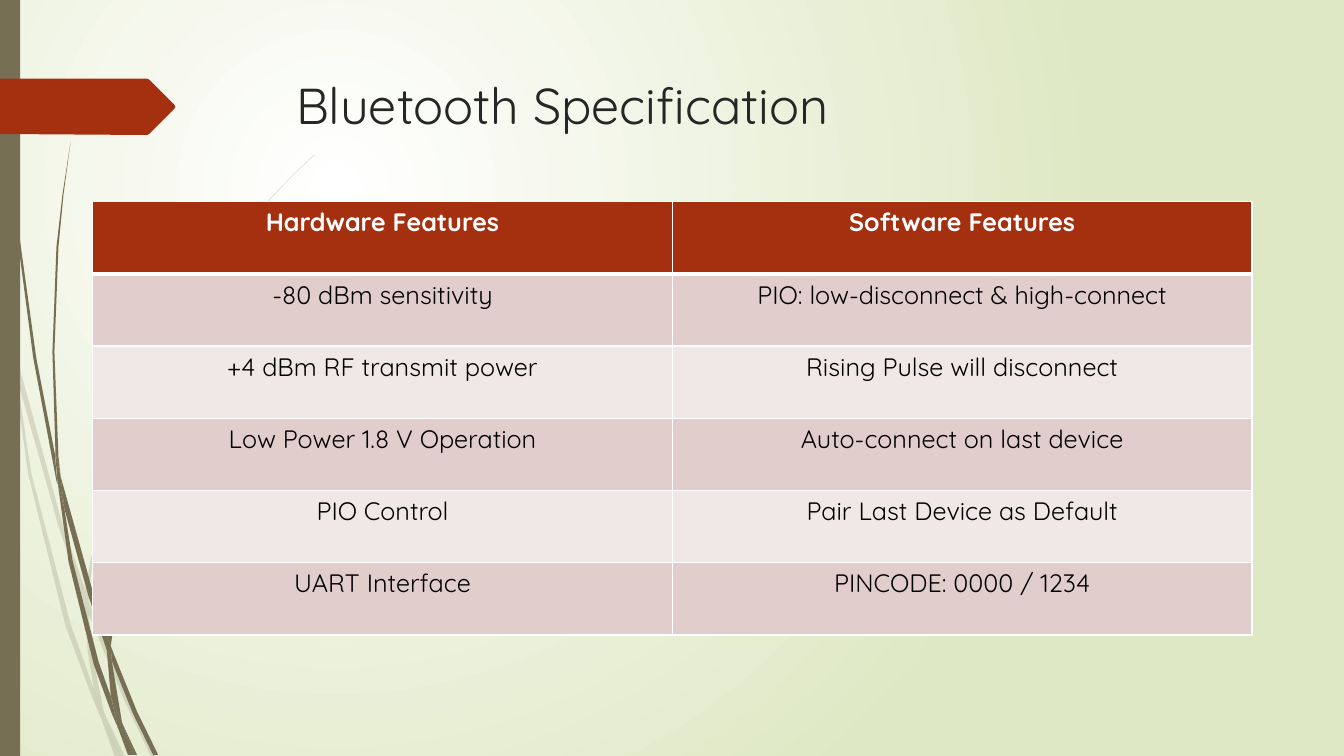
from lxml.etree import SubElement
from pptx import Presentation
from pptx.dml.color import RGBColor
from pptx.enum.shapes import MSO_SHAPE as SHAPE
from pptx.enum.text import MSO_ANCHOR as ANCHOR, PP_ALIGN as ALIGN
from pptx.oxml.ns import qn
from pptx.util import Pt

FONT = "Quicksand"
OLIVE, RUST, WHITE = "766F54", "A53010", "FFFFFF"
BANDS = ("F0E8E7", "E1CDCC")
UNIT = Pt(0.72)  # outline coordinates are multiples of this step

# Outlines of the grass blades, x and y in UNIT steps
PALE_BLADES = [
    [(11, 350), (9, 322), (0, 282), (0, 299), (10, 344)],
    [(58, 522), (84, 599), (85, 586), (62, 520), (14, 345), (17, 376)],
    [(92, 607), (88, 596), (88, 610), (123, 694), (150, 751), (155, 751),
     (127, 692)],
    [(119, 751), (124, 751), (105, 711)],
    [(93, 683), (70, 619), (31, 469), (17, 376), (11, 350), (28, 470),
     (65, 621), (92, 693), (101, 714), (99, 707)],
    [(84, 599), (87, 646), (93, 683), (96, 692), (105, 711), (103, 706),
     (91, 646), (88, 610), (88, 608)],
    [(88, 584), (110, 462), (160, 349), (229, 245), (268, 198), (290, 175),
     (312, 154), (312, 153), (289, 175), (268, 197), (228, 244), (158, 348),
     (107, 461), (85, 584), (85, 586), (88, 596)],
    [(101, 714), (114, 751), (119, 751)],
    [(88, 608), (88, 610), (88, 596), (85, 586), (84, 599)],
    [(96, 692), (93, 683), (99, 707), (101, 714), (119, 751), (105, 711)],
]
DARK_BLADES = [
    [(7, 110), (17, 233), (33, 355), (56, 477), (57, 481), (55, 457),
     (55, 453), (36, 355), (19, 232), (8, 109), (5, 48), (4, 0), (3, 0),
     (4, 48)],
    [(88, 592), (106, 645), (106, 633), (106, 631), (93, 590), (60, 472),
     (64, 505)],
    [(113, 649), (110, 641), (111, 656), (132, 708), (152, 749), (157, 749),
     (136, 706)],
    [(110, 691), (98, 657), (72, 556), (64, 505), (57, 477), (68, 557),
     (93, 659), (111, 708), (117, 722), (116, 717)],
    [(60, 472), (58, 453), (54, 349), (58, 245), (63, 193), (70, 141),
     (62, 193), (56, 245), (52, 349), (55, 449)],
    [(133, 749), (136, 749), (122, 719)],
    [(57, 477), (64, 505), (60, 472), (55, 449), (55, 453)],
    [(111, 633), (125, 552), (158, 476), (205, 406), (231, 374), (245, 359),
     (261, 344), (260, 344), (245, 358), (231, 373), (204, 405), (156, 474),
     (122, 551), (106, 631), (110, 641)],
    [(117, 722), (127, 749), (131, 749)],
    [(106, 645), (110, 691), (116, 706), (122, 719), (121, 716), (111, 656),
     (109, 651)],
    [(106, 645), (109, 651), (111, 656), (110, 641), (106, 631), (106, 633)],
    [(116, 706), (110, 691), (116, 717), (117, 722), (130, 749), (133, 749),
     (122, 719)],
]
PAGE_ARROW = [(0, 78), (146, 78), (148, 79), (173, 104), (174, 106),
              (173, 108), (148, 133), (146, 134), (0, 133)]

FEATURES = [
    ("Hardware Features", "Software Features"),
    ("-80 dBm sensitivity", "PIO: low-disconnect & high-connect"),
    ("+4 dBm RF transmit power", "Rising Pulse will disconnect"),
    ("Low Power 1.8 V Operation", "Auto-connect on last device"),
    ("PIO Control", "Pair Last Device as Default"),
    ("UART Interface", "PINCODE: 0000 / 1234"),
]


def rgb(value):
    return RGBColor.from_string(value)


def write(frame, text, size=18, color="000000", bold=False, align=ALIGN.LEFT):
    paragraph = frame.paragraphs[0]
    paragraph.alignment = align
    run = paragraph.add_run()
    run.text = text
    run.font.name, run.font.size, run.font.bold = FONT, Pt(size), bold
    run.font.color.rgb = rgb(color)


def paint(shape, color, opacity=100):
    shape.shadow.inherit = False
    shape.line.fill.background()
    shape.fill.solid()
    shape.fill.fore_color.rgb = rgb(color)
    if opacity < 100:
        tint = shape._element.spPr.find(qn("a:solidFill"))[0]
        SubElement(tint, qn("a:alpha"), val=str(opacity * 1000))


def add_outline(shapes, points, color, opacity=100):
    builder = shapes.build_freeform(*points[0], scale=UNIT)
    builder.add_line_segments(points[1:], close=True)
    paint(builder.convert_to_shape(), color, opacity)


def add_blades(slide, blades, opacity=100):
    tuft = slide.shapes.add_group_shape()
    for blade in blades:
        add_outline(tuft.shapes, blade, OLIVE, opacity)


def set_background(slide):
    glow = slide.background.fill
    glow.gradient()
    for stop, color in zip(glow.gradient_stops, (WHITE, "DFE8C4")):
        stop.color.rgb = rgb(color)
    gradient = slide._element.find(".//" + qn("a:gradFill"))
    gradient.remove(gradient.find(qn("a:lin")))
    circle = SubElement(gradient, qn("a:path"), path="circle")
    SubElement(circle, qn("a:fillToRect"), l="50000", t="50000",
               r="100000", b="100000")


def set_borders(cell, fill, widths):
    properties = cell._tc.get_or_add_tcPr()
    for side, width in widths.items():
        border = SubElement(properties, qn("a:ln" + side), w=str(Pt(width)))
        solid = SubElement(border, qn("a:solidFill"))
        SubElement(solid, qn("a:srgbClr"), val=WHITE)
    cell.fill.solid()
    cell.fill.fore_color.rgb = rgb(fill)


def add_features(slide):
    table = slide.shapes.add_table(len(FEATURES), 2, Pt(66.24), Pt(144),
                                   Pt(828), Pt(309.6)).table
    for row, texts in enumerate(FEATURES):
        header = row == 0
        for column, text in enumerate(texts):
            cell = table.cell(row, column)
            write(cell.text_frame, text, bold=header, align=ALIGN.CENTER,
                  color=WHITE if header else "000000")
            set_borders(cell, RUST if header else BANDS[row % 2],
                        {"L": 1, "R": 1, "T": 3 if row == 1 else 1,
                         "B": 3 if header else 1})


def set_title(slide, text):
    title = slide.shapes.title
    title.left, title.top = Pt(204.5), Pt(49)
    title.width, title.height = Pt(702), Pt(100.8)
    title.text_frame.vertical_anchor = ANCHOR.TOP
    title.text_frame.word_wrap = True
    write(title.text_frame, text, size=36, color="262626")


def main():
    deck = Presentation()
    deck.slide_width, deck.slide_height = Pt(960), Pt(540)
    slide = deck.slides.add_slide(deck.slide_layouts[5])

    # Backdrop
    set_background(slide)
    add_blades(slide, PALE_BLADES, opacity=20)
    add_blades(slide, DARK_BLADES)
    side_bar = slide.shapes.add_shape(SHAPE.RECTANGLE, 0, 0, Pt(14.4), Pt(540))
    paint(side_bar, OLIVE)
    add_outline(slide.shapes, PAGE_ARROW, RUST)

    # Content
    set_title(slide, "Bluetooth Specification")
    add_features(slide)
    deck.save("out.pptx")


if __name__ == "__main__":
    main()
